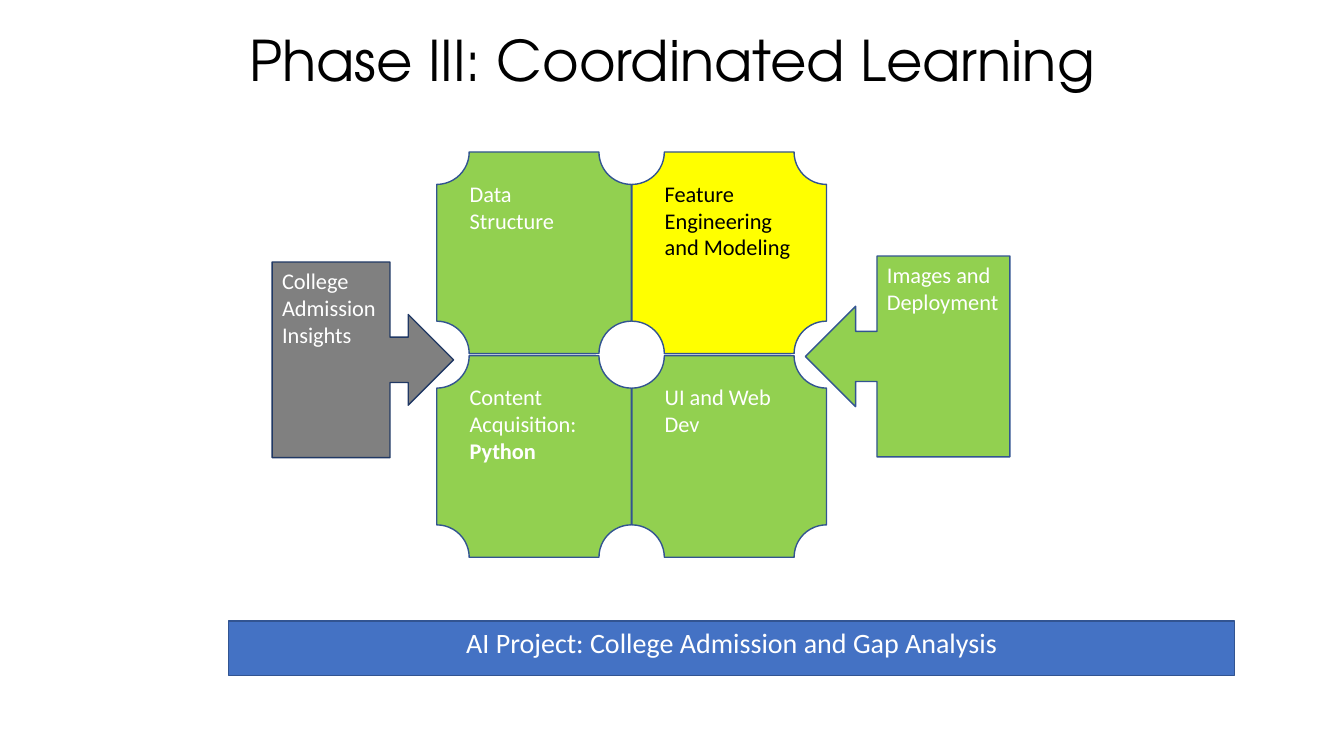
from pptx import Presentation
from pptx.dml.color import RGBColor
from pptx.enum.shapes import MSO_SHAPE as Shape
from pptx.enum.text import MSO_ANCHOR as Anchor, PP_ALIGN as Align
from pptx.util import Pt

GREEN, YELLOW, GRAY, BLUE = "92D050", "FFFF00", "808080", "4472C4"
WHITE, BLACK, EDGE, NAVY = "FFFFFF", "000000", "325491", "203864"

TITLE = "Phase III: Coordinated Learning"
PROJECT = "AI Project: College Admission and Gap Analysis"
PUZZLE = [
    [("Data Structure", "", GREEN, WHITE),
     ("Feature Engineering and Modeling", "", YELLOW, BLACK)],
    [("Content Acquisition: ", "Python", GREEN, WHITE),
     ("UI and Web Dev", "", GREEN, WHITE)],
]
CALLOUTS = [
    ("Images and Deployment", Shape.LEFT_ARROW_CALLOUT,
     (575.3, 182.9, 146, 143.5), GREEN, EDGE),
    ("College Admission Insights", Shape.RIGHT_ARROW_CALLOUT,
     (194.4, 187.2, 129.6, 139.7), GRAY, NAVY),
]
PUZZLE_LEFT, PUZZLE_TOP = 312, 108.6
PIECE_WIDTH, PIECE_HEIGHT = 139, 144
COLUMN_STEP, ROW_STEP = 139.4, 145.5


def color(value):
    """Turn a hex string into a colour."""
    return RGBColor.from_string(value)


def style_text(para, size, ink, align, font="Calibri"):
    """Set the font and alignment of a paragraph."""
    para.alignment = align
    para.font.name, para.font.size = font, Pt(size)
    para.font.color.rgb = color(ink)


def add_box(page, kind, place, fill, text, bold="", ink=WHITE, edge=EDGE,
            size=16, align=Align.LEFT):
    """Add a filled, outlined shape with top-anchored text."""
    box = page.shapes.add_shape(kind, *map(Pt, place))
    box.shadow.inherit = False
    box.fill.solid()
    box.fill.fore_color.rgb = color(fill)
    box.line.color.rgb = color(edge)
    box.line.width = Pt(1)
    frame = box.text_frame
    frame.word_wrap = True
    frame.vertical_anchor = Anchor.TOP
    para = frame.paragraphs[0]
    para.add_run().text = text
    if bold:
        span = para.add_run()
        span.text = bold
        span.font.bold = True
    style_text(para, size, ink, align)


deck = Presentation()
deck.slide_width, deck.slide_height = Pt(960), Pt(540)
page = deck.slides.add_slide(deck.slide_layouts[5])

title = page.shapes.title
title.left, title.top, title.width, title.height = map(Pt, (0, 14.4, 960, 55.4))
title.text_frame.text = TITLE
title.text_frame.vertical_anchor = Anchor.TOP
style_text(title.text_frame.paragraphs[0], 40, BLACK, Align.CENTER,
           "TeX Gyre Adventor")

for row, pieces in enumerate(PUZZLE):
    for column, (text, bold, fill, ink) in enumerate(pieces):
        place = (PUZZLE_LEFT + column * COLUMN_STEP,
                 PUZZLE_TOP + row * ROW_STEP, PIECE_WIDTH, PIECE_HEIGHT)
        add_box(page, Shape.PLAQUE, place, fill, text, bold, ink)

for text, kind, place, fill, edge in CALLOUTS:
    add_box(page, kind, place, fill, text, edge=edge)

add_box(page, Shape.RECTANGLE, (163.4, 443.5, 718.6, 39), BLUE, PROJECT,
        size=20, align=Align.CENTER)

deck.save("out.pptx")
